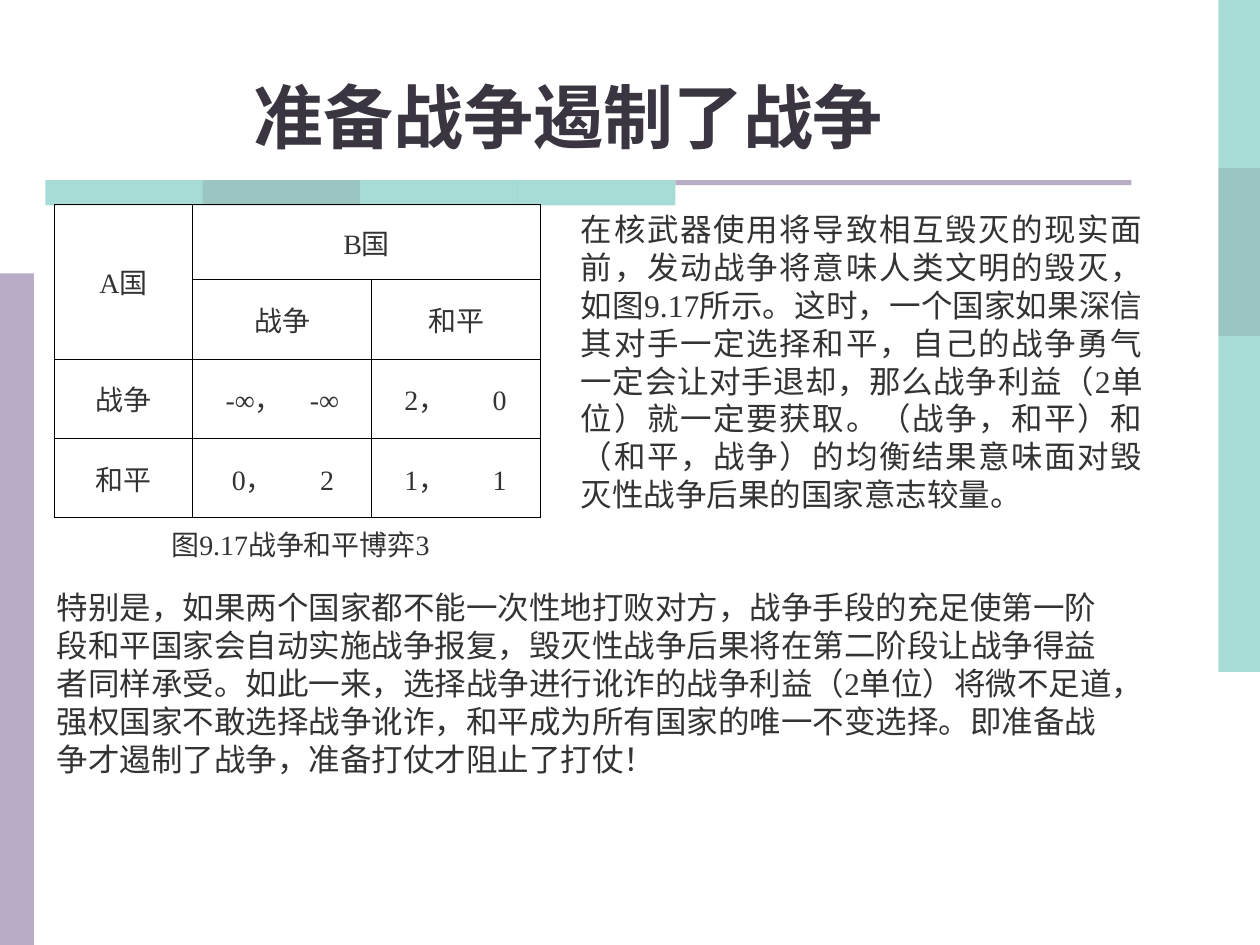
from lxml.etree import SubElement
from pptx import Presentation
from pptx.dml.color import RGBColor
from pptx.enum.shapes import MSO_SHAPE
from pptx.enum.text import MSO_ANCHOR as Anchor, MSO_AUTO_SIZE as AutoSize, PP_ALIGN as Align
from pptx.oxml.ns import qn
from pptx.util import Inches, Pt

TEAL = RGBColor(0x51, 0xB9, 0xAF)
DARK_TEAL = RGBColor(0x39, 0x8D, 0x85)
LILAC = RGBColor(0xB8, 0xAC, 0xC6)
TITLE_INK = RGBColor(0x3A, 0x35, 0x41)
INK = RGBColor(0x33, 0x33, 0x33)
FONT = "Times New Roman"
BAND = (TEAL, DARK_TEAL, TEAL, TEAL)

TITLE = "准备战争遏制了战争"
CAPTION = "图9.17战争和平博弈3"
ARGUMENT = (
    "在核武器使用将导致相互毁灭的现实面前，发动战争将意味人类文明的毁灭，"
    "如图9.17所示。这时，一个国家如果深信其对手一定选择和平，自己的战争勇气"
    "一定会让对手退却，那么战争利益（2单位）就一定要获取。（战争，和平）和"
    "（和平，战争）的均衡结果意味面对毁灭性战争后果的国家意志较量。"
)
CONCLUSION = (
    "特别是，如果两个国家都不能一次性地打败对方，战争手段的充足使第一阶段和平国家"
    "会自动实施战争报复，毁灭性战争后果将在第二阶段让战争得益者同样承受。如此一来，"
    "选择战争进行讹诈的战争利益（2单位）将微不足道，强权国家不敢选择战争讹诈，"
    "和平成为所有国家的唯一不变选择。即准备战争才遏制了战争，准备打仗才阻止了打仗！"
)

COLUMNS = (1.1, 1.42, 1.34)
ROWS = (0.6, 0.63, 0.63, 0.63)
LABELS = {
    (0, 0): "A国", (0, 1): "B国",
    (1, 1): "战争", (1, 2): "和平",
    (2, 0): "战争", (3, 0): "和平",
}
# Cell: payoff of A, payoff of B, left margin, tab stop
PAYOFFS = {
    (2, 1): ("-∞", "-∞", 0.26, 0.67),
    (2, 2): ("2", "0", 0.26, 0.7),
    (3, 1): ("0", "2", 0.31, 0.7),
    (3, 2): ("1", "1", 0.26, 0.7),
}


def apply(target, **values):
    for name, value in values.items():
        setattr(target, name, value)


def write(frame, text, size, color=INK, bold=False, **paragraph_format):
    paragraph = frame.paragraphs[0]
    run = paragraph.add_run()
    run.text = text
    apply(run.font, name=FONT, size=Pt(size), bold=bold)
    run.font.color.rgb = color
    apply(paragraph, **paragraph_format)
    return paragraph


def place(shape, left, top, width, height):
    apply(shape, left=Inches(left), top=Inches(top),
          width=Inches(width), height=Inches(height))


def add_bar(slide, left, top, width, height, color, opacity=100):
    bar = slide.shapes.add_shape(
        MSO_SHAPE.RECTANGLE, Inches(left), Inches(top), Inches(width), Inches(height))
    bar.shadow.inherit = False
    bar.fill.solid()
    bar.fill.fore_color.rgb = color
    bar.line.fill.background()
    if opacity < 100:
        tint = bar.fill._xPr.find(".//" + qn("a:srgbClr"))
        SubElement(tint, qn("a:alpha"), val=str(opacity * 1000))


def add_decoration(slide):
    for i, color in enumerate(BAND):
        add_bar(slide, 9.67, i * 4 / 3, 0.33, 4 / 3, color, 50)
        add_bar(slide, 0.36 + i * 1.25, 1.43, 1.25, 0.2, color, 50)
    add_bar(slide, 0, 2.17, 0.27, 5.33, LILAC)
    add_bar(slide, 5.36, 1.43, 3.62, 0.04, LILAC)


def fill_title(title):
    place(title, 0, 0.44, 9.02, 0.86)
    apply(title.text_frame, vertical_anchor=Anchor.BOTTOM, auto_size=AutoSize.NONE)
    write(title.text_frame, TITLE, 40, TITLE_INK, True, alignment=Align.CENTER)


def fill_body(body, box, text, align, space):
    place(body, *box)
    body.text_frame.auto_size = AutoSize.NONE
    paragraph = write(body.text_frame, text, 18, alignment=align, space_before=Pt(space))
    # Plain paragraph: no bullet, no hanging indent
    properties = paragraph._p.get_or_add_pPr()
    properties.set("marL", "0")
    properties.set("indent", "0")
    SubElement(properties, qn("a:buNone"))


def draw_borders(cell):
    properties = cell._tc.get_or_add_tcPr()
    for side in ("lnL", "lnR", "lnT", "lnB"):
        line = SubElement(properties, qn("a:" + side), w=str(Pt(0.45)))
        SubElement(SubElement(line, qn("a:solidFill")), qn("a:srgbClr"), val="000000")


def write_payoffs(cell, first, second, margin, stop):
    cell.margin_left = Inches(margin)
    paragraph = write(cell.text_frame, f"{first}，\t{second}", 16, alignment=Align.LEFT)
    tabs = SubElement(paragraph._p.get_or_add_pPr(), qn("a:tabLst"))
    SubElement(tabs, qn("a:tab"), pos=str(Inches(stop)), algn="l")


def add_game_table(slide):
    table = slide.shapes.add_table(
        len(ROWS), len(COLUMNS), Inches(0.43), Inches(1.62),
        Inches(sum(COLUMNS)), Inches(sum(ROWS))).table
    apply(table, first_row=False, horz_banding=False)
    for column, width in zip(table.columns, COLUMNS):
        column.width = Inches(width)
    for row, height in zip(table.rows, ROWS):
        row.height = Inches(height)
    for cell in table.iter_cells():
        draw_borders(cell)
        cell.fill.background()
        cell.vertical_anchor = Anchor.MIDDLE
    table.cell(0, 0).merge(table.cell(1, 0))
    table.cell(0, 1).merge(table.cell(0, 2))
    for position, label in LABELS.items():
        write(table.cell(*position).text_frame, label, 16, alignment=Align.CENTER)
    for position, payoffs in PAYOFFS.items():
        write_payoffs(table.cell(*position), *payoffs)


def add_caption(slide):
    caption = slide.shapes.add_textbox(
        Inches(1.18), Inches(4.14), Inches(2.41), Inches(0.37))
    caption.text_frame.word_wrap = False
    write(caption.text_frame, CAPTION, 16, alignment=Align.CENTER, space_before=Pt(4))


def main():
    deck = Presentation()
    apply(deck, slide_width=Inches(10), slide_height=Inches(7.5))
    slide = deck.slides.add_slide(deck.slide_layouts.get_by_name("Two Content"))
    title, argument, conclusion = list(slide.placeholders)[:3]

    add_decoration(slide)
    fill_title(title)
    # Game matrix with its caption
    add_game_table(slide)
    add_caption(slide)
    # Running text
    fill_body(argument, (4.51, 1.62, 4.66, 2.5), ARGUMENT, Align.JUSTIFY, 4.5)
    fill_body(conclusion, (0.35, 4.62, 8.66, 1.6), CONCLUSION, Align.LEFT, 0)
    deck.save("out.pptx")


if __name__ == "__main__":
    main()
